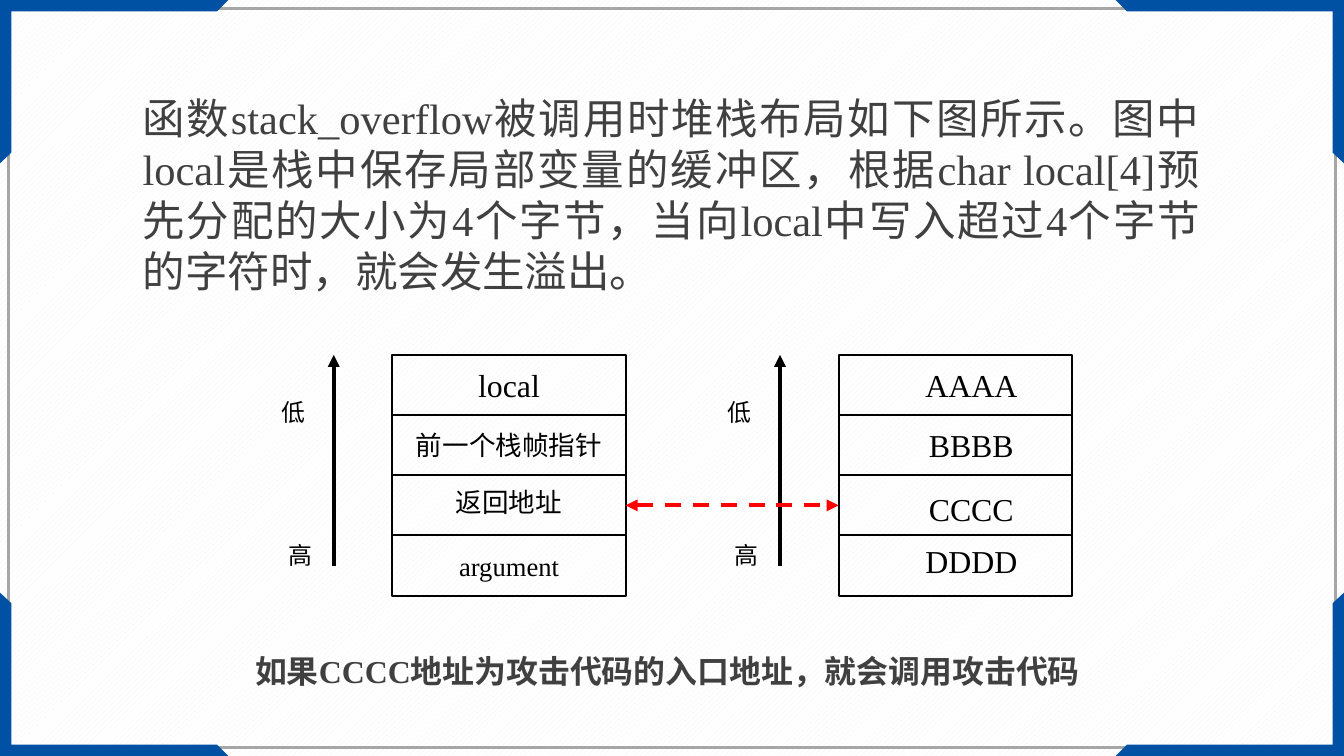
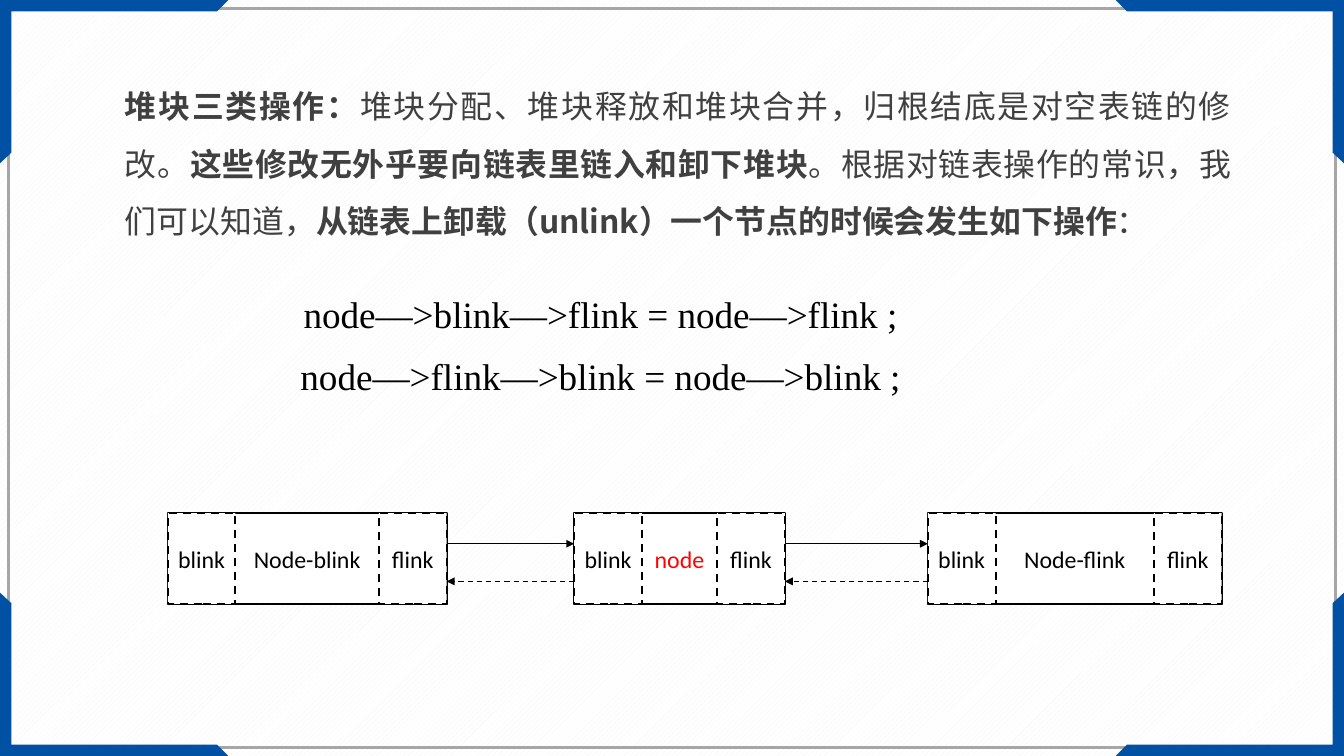
"""Build two slides on stack overflow layout and heap block unlinking."""
import itertools

import lxml.etree
import pptx
import pptx.dml.color
import pptx.enum.dml
import pptx.enum.shapes
import pptx.enum.text
import pptx.oxml.ns
import pptx.util

Cm = pptx.util.Cm
Pt = pptx.util.Pt
RGBColor = pptx.dml.color.RGBColor
ALIGN = pptx.enum.text.PP_ALIGN
DASH = pptx.enum.dml.MSO_LINE.DASH
RECTANGLE = pptx.enum.shapes.MSO_SHAPE.RECTANGLE
STRAIGHT = pptx.enum.shapes.MSO_CONNECTOR.STRAIGHT
qn = pptx.oxml.ns.qn

BLACK = RGBColor(0x00, 0x00, 0x00)
WHITE = RGBColor(0xFF, 0xFF, 0xFF)
RED = RGBColor(0xFF, 0x00, 0x00)
TEXT_GRAY = RGBColor(0x40, 0x40, 0x40)
FRAME_GRAY = RGBColor(0xA6, 0xA6, 0xA6)
PATTERN_GRAY = RGBColor(0xF2, 0xF2, 0xF2)
CORNER_BLUE = RGBColor(0x00, 0x50, 0xA3)
SERIF = "Times New Roman"
SANS = "Calibri"
CJK = "Noto Sans CJK SC"
WIDTH, HEIGHT = 35.72, 20.09


def format_text(text_frame, size, font=SERIF, color=BLACK, align=ALIGN.LEFT, spacing=None):
    """Format every paragraph and run of a text frame."""
    for paragraph in text_frame.paragraphs:
        paragraph.alignment = align
        paragraph.line_spacing = spacing or Pt(1.2 * size)
        paragraph._p.get_or_add_pPr().set("hangingPunct", "0")
        for run in paragraph.runs:
            run.font.size = Pt(size)
            run.font.name = font
            run.font.color.rgb = color
            east_asian = lxml.etree.SubElement(run.font._element, qn("a:ea"))
            east_asian.set("typeface", CJK)


def add_box(slide, text, left, top, width, height, size=18, font=SANS, color=BLACK, fill=None, dash=None):
    """Add an outlined rectangle with centred text."""
    box = slide.shapes.add_shape(RECTANGLE, Cm(left), Cm(top), Cm(width), Cm(height))
    box.shadow.inherit = False
    if fill is None:
        box.fill.background()
    else:
        box.fill.solid()
        box.fill.fore_color.rgb = fill
    box.line.color.rgb = BLACK
    box.line.width = Pt(1.5)
    box.line.dash_style = dash
    box.text_frame.text = text
    format_text(box.text_frame, size, font, color, ALIGN.CENTER)
    return box


presentation = pptx.Presentation()
presentation.slide_width = Cm(WIDTH)
presentation.slide_height = Cm(HEIGHT)
layout = presentation.slide_layouts[6]
for placeholder in list(layout.placeholders):
    layout.shapes.element.remove(placeholder.element)
background = layout.background.fill
background.patterned()
background.pattern = pptx.enum.dml.MSO_PATTERN.WIDE_UPWARD_DIAGONAL
background.fore_color.rgb = PATTERN_GRAY
background.back_color.rgb = WHITE

stack_slide = presentation.slides.add_slide(layout)
heap_slide = presentation.slides.add_slide(layout)
arrows = []

border = stack_slide.shapes.add_shape(RECTANGLE, Cm(0.23), Cm(0.23), Cm(35.27), Cm(19.63))
border.fill.background()
border.line.color.rgb = FRAME_GRAY
border.line.width = Pt(2)
frame_shapes = [border]
corner_outline = [(0, 0), (6.07, 0), (5.77, 0.3), (0.3, 0.3), (0.3, 4.06), (0, 4.34)]
for flip_x, flip_y in itertools.product((False, True), repeat=2):
    points = [
        (Cm(WIDTH - x if flip_x else x), Cm(HEIGHT - y if flip_y else y))
        for x, y in corner_outline
    ]
    builder = stack_slide.shapes.build_freeform(*points[0])
    builder.add_line_segments(points[1:], close=True)
    corner = builder.convert_to_shape()
    corner.fill.solid()
    corner.fill.fore_color.rgb = CORNER_BLUE
    corner.line.fill.background()
    frame_shapes.append(corner)
for shape in frame_shapes:
    shape.shadow.inherit = False
    layout.shapes.element.append(shape.element)

intro = stack_slide.shapes.add_textbox(Cm(3.54), Cm(2.33), Cm(28.6), Cm(5.72))
intro.text_frame.word_wrap = True
intro.text_frame.text = (
    "函数stack_overflow被调用时堆栈布局如下图所示。图中local是栈中保存局部变量的缓冲区，"
    "根据char local[4]预先分配的大小为4个字节，当向local中写入超过4个字节的字符时，就会发生溢出。"
)
format_text(intro.text_frame, 32, color=TEXT_GRAY, align=ALIGN.JUSTIFY)

STACK_TOP, CELL_WIDTH, CELL_HEIGHT = 9.43, 6.2, 1.6
stacks = [
    (10.43, 0.25, [("local", 24, 0), ("前一个栈帧指针", 20, 0), ("返回地址", 20, -0.08), ("argument", 20, 0)]),
    (22.29, 1.1, [("AAAA", 24, 0), ("BBBB", 24, 0), ("CCCC", 24, 0.08), ("DDDD", 24, -0.12)]),
]
return_cells = []
for stack_left, margin, cells in stacks:
    stack_boxes = []
    for row, (text, size, shift) in enumerate(cells):
        top = STACK_TOP + row * CELL_HEIGHT
        box = add_box(stack_slide, text, stack_left, top, CELL_WIDTH, CELL_HEIGHT, size, SERIF)
        box.text_frame.margin_left = Cm(margin)
        box.text_frame.margin_top = Cm(0.13 + max(0, 2 * shift))
        box.text_frame.margin_bottom = Cm(0.13 + max(0, -2 * shift))
        stack_boxes.append(box)
    return_cells.append(stack_boxes[2])
    axis_x = Cm(stack_left - 1.56)
    axis = stack_slide.shapes.add_connector(STRAIGHT, axis_x, Cm(15.04), axis_x, Cm(STACK_TOP))
    arrows.append((axis, BLACK, 3, None, ["tailEnd"]))
    for text, offset, top in [("低", 3.2, 10.44), ("高", 3.02, 14.25)]:
        label = stack_slide.shapes.add_textbox(Cm(stack_left - offset), Cm(top), Cm(1.14), Cm(1.02))
        label.text_frame.word_wrap = False
        label.text_frame.text = text
        format_text(label.text_frame, 18)

caption = stack_slide.shapes.add_textbox(Cm(6.53), Cm(17.2), Cm(22.66), Cm(1.27))
caption.text_frame.word_wrap = True
caption.text_frame.text = "如果CCCC地址为攻击代码的入口地址，就会调用攻击代码"
format_text(caption.text_frame, 24, color=TEXT_GRAY)
caption.text_frame.paragraphs[0].runs[0].font.bold = True

overwrite = stack_slide.shapes.add_connector(STRAIGHT, 0, 0, 0, 0)
overwrite.begin_connect(return_cells[0], 3)
overwrite.end_connect(return_cells[1], 1)
arrows.append((overwrite, RED, 3, DASH, ["headEnd", "tailEnd"]))

operations = heap_slide.shapes.add_textbox(Cm(3.07), Cm(1.68), Cm(29.9), Cm(4.67))
operations.text_frame.word_wrap = True
for text, bold in [
    ("堆块三类操作：", True),
    ("堆块分配、堆块释放和堆块合并，归根结底是对空表链的修改。", False),
    ("这些修改无外乎要向链表里链入和卸下堆块", True),
    ("。根据对链表操作的常识，我们可以知道，", False),
    ("从链表上卸载（unlink）一个节点的时候会发生如下操作", True),
    ("：", False),
]:
    run = operations.text_frame.paragraphs[0].add_run()
    run.text = text
    run.font.bold = bold
format_text(operations.text_frame, 24, CJK, TEXT_GRAY, ALIGN.JUSTIFY, Pt(43.2))

code_frame = heap_slide.shapes.add_table(1, 1, Cm(3.07), Cm(7.3), Cm(25.78), Cm(3.56))
code_frame.element.xpath(".//a:tableStyleId")[0].text = "{2D5ABB26-0587-4C30-8999-92F81FD0307C}"
code_frame.table.first_row = False
code_frame.table.horz_banding = False
code_cell = code_frame.table.cell(0, 0)
code_cell.fill.background()
code_cell.margin_left = code_cell.margin_right = Cm(0.18)
code_cell.margin_top = code_cell.margin_bottom = 0
code_cell.text_frame.text = "node—>blink—>flink = node—>flink ;\nnode—>flink—>blink = node—>blink ;"
format_text(code_cell.text_frame, 28, align=ALIGN.CENTER, spacing=1.5)

BLOCK_TOP, BLOCK_HEIGHT, FIELD_WIDTH = 13.64, 2.41, 1.8
blocks = [
    ("Node-blink", 4.46, 7.41, BLACK),
    ("node", 15.26, 5.6, RED),
    ("Node-flink", 24.66, 7.81, BLACK),
]
for name, left, width, color in blocks:
    add_box(heap_slide, name, left, BLOCK_TOP, width, BLOCK_HEIGHT, color=color, fill=WHITE)
    for field, field_left in [("blink", left), ("flink", left + width - FIELD_WIDTH)]:
        add_box(heap_slide, field, field_left, BLOCK_TOP, FIELD_WIDTH, BLOCK_HEIGHT, fill=WHITE, dash=DASH)
for (_, left, width, _), (_, next_left, _, _) in itertools.pairwise(blocks):
    right = left + width
    for start, end, y, dash in [(right, next_left, 14.45, None), (next_left, right, 15.45, DASH)]:
        link = heap_slide.shapes.add_connector(STRAIGHT, Cm(start), Cm(y), Cm(end), Cm(y))
        arrows.append((link, BLACK, 1, dash, ["tailEnd"]))

for connector, color, width, dash, ends in arrows:
    connector.line.color.rgb = color
    connector.line.width = Pt(width)
    connector.line.dash_style = dash
    line = connector.element.xpath(".//a:ln")[0]
    for end in ends:
        lxml.etree.SubElement(line, qn("a:" + end)).set("type", "triangle")
    lxml.etree.SubElement(line.getparent(), qn("a:effectLst"))

presentation.save("out.pptx")
